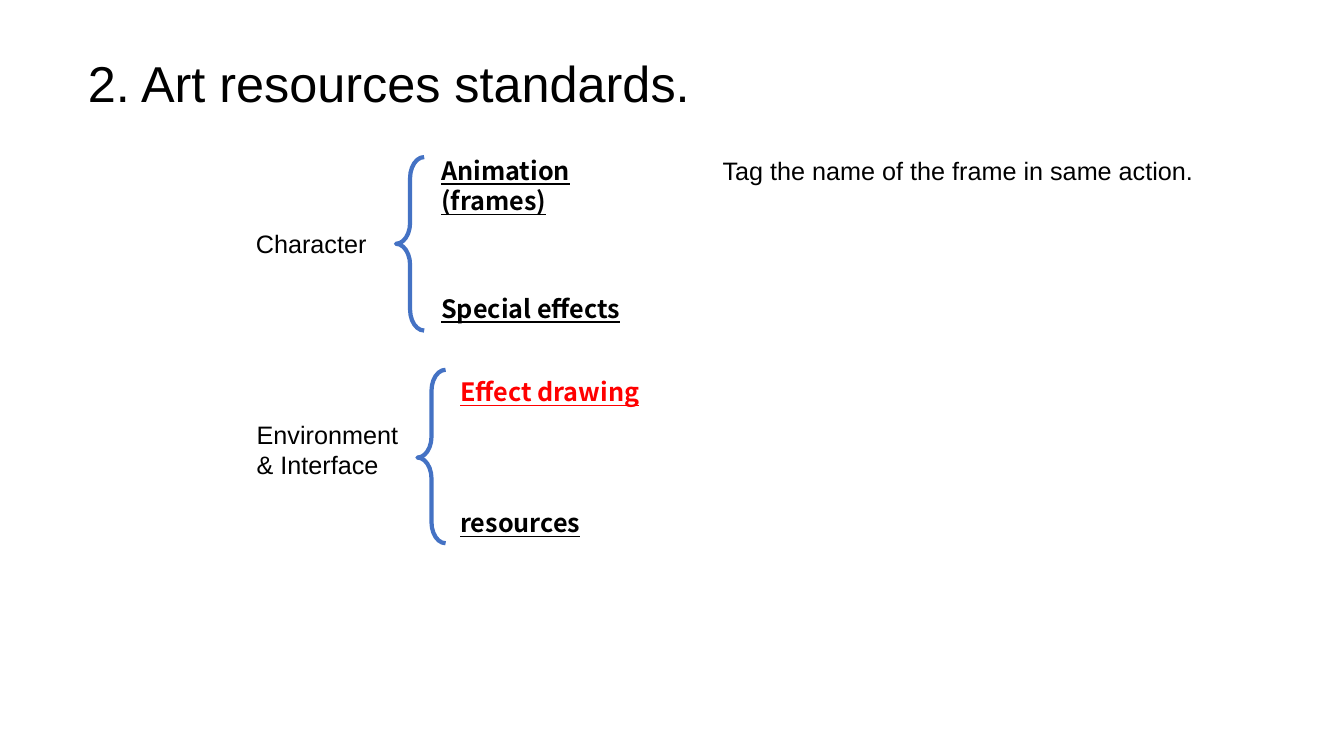
from pptx import Presentation
from pptx.dml.color import RGBColor
from pptx.enum import shapes, text
from pptx.util import Cm, Pt

TITLE = "2. Art resources standards."
BLACK, RED, BLUE = "000000", "FF0000", "4472C4"
PLAIN = {"name": "Arial", "size": Pt(18), "bold": False, "underline": False}
HEAD = {**PLAIN, "size": Pt(36)}
STRONG = {"name": "Noto Sans CJK SC", "size": Pt(18), "bold": True, "underline": True}

# Text, left, top, width, height, format, colour
TEXTS = [
    ("Character", 6.2, 5.64, 4.14, 1.02, PLAIN, BLACK),
    ("Environment & Interface", 6.22, 10.44, 4.14, 1.8, PLAIN, BLACK),
    ("Animation (frames)", 10.87, 3.78, 6.07, 1.02, STRONG, BLACK),
    ("Special effects", 10.87, 7.26, 9.63, 1.02, STRONG, BLACK),
    ("Effect drawing", 11.35, 9.37, 5.79, 1.02, STRONG, RED),
    ("resources", 11.35, 12.67, 5.79, 1.02, STRONG, BLACK),
    ("Tag the name of the frame in same action.", 17.96, 3.78, 15.5, 1.02, PLAIN, BLACK),
]
# Left, top, place of the point
BRACES = [(9.98, 3.96, 0.5), (10.52, 9.32, 0.506)]
BRACE_SIZE = (0.71, 4.37)


def paint(color):
    return RGBColor.from_string(color)


def write(shape, words, style, color):
    frame = shape.text_frame
    frame.word_wrap = True
    frame.auto_size = text.MSO_AUTO_SIZE.SHAPE_TO_FIT_TEXT
    frame.vertical_anchor = text.MSO_ANCHOR.TOP
    para = frame.paragraphs[0]
    para.alignment = text.PP_ALIGN.LEFT
    run = para.add_run()
    run.text = words
    for key, value in style.items():
        setattr(run.font, key, value)
    run.font.color.rgb = paint(color)


def main():
    deck = Presentation()
    deck.slide_width, deck.slide_height = Cm(33.87), Cm(19.05)
    slide = deck.slides.add_slide(deck.slide_layouts[5])

    title = slide.shapes.title
    place = {"left": 1.96, "top": 1.19, "width": 24.92, "height": 1.8}
    for key, value in place.items():
        setattr(title, key, Cm(value))
    write(title, TITLE, HEAD, BLACK)

    for left, top, point in BRACES:
        box = map(Cm, (left, top, *BRACE_SIZE))
        brace = slide.shapes.add_shape(shapes.MSO_SHAPE.LEFT_BRACE, *box)
        brace.shadow.inherit = False
        brace.adjustments[0], brace.adjustments[1] = 0.745, point
        brace.fill.background()
        brace.line.color.rgb = paint(BLUE)
        brace.line.width = Pt(3)

    for words, *box, style, color in TEXTS:
        label = slide.shapes.add_textbox(*map(Cm, box))
        write(label, words, style, color)

    deck.save("out.pptx")


if __name__ == "__main__":
    main()
